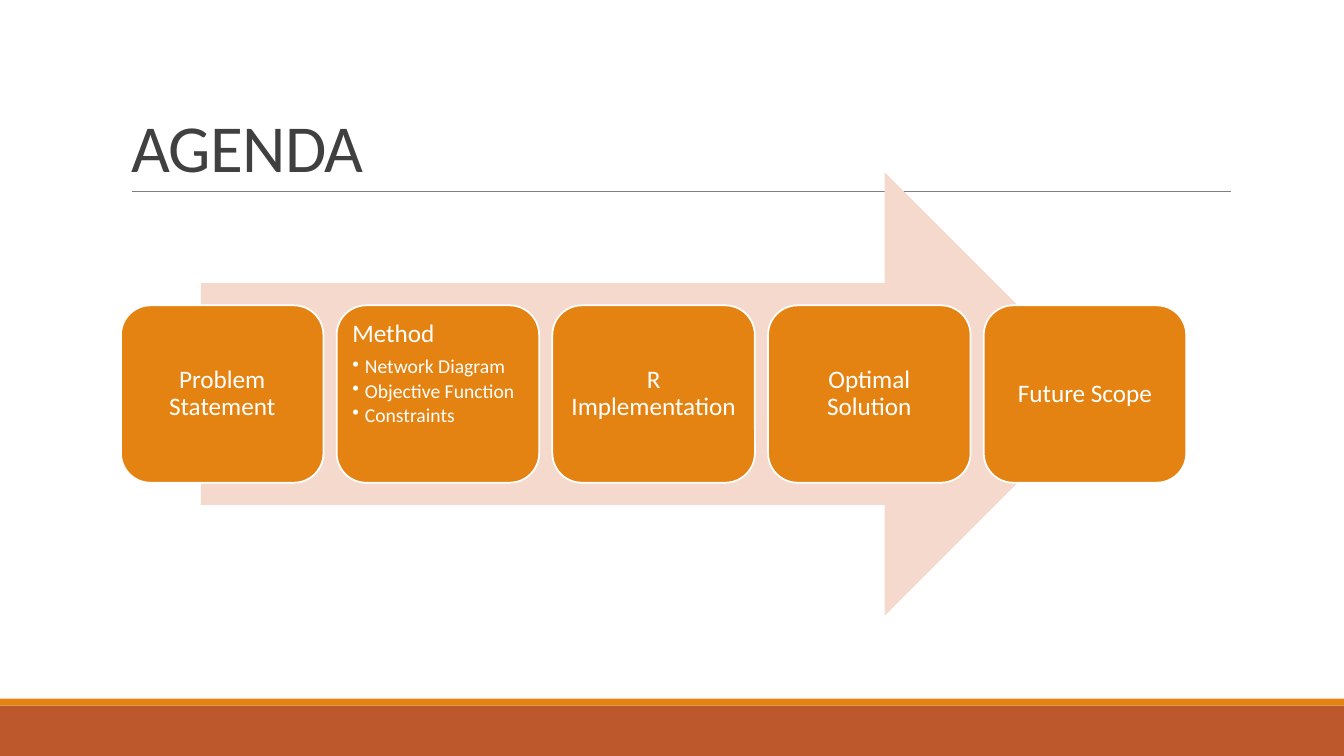
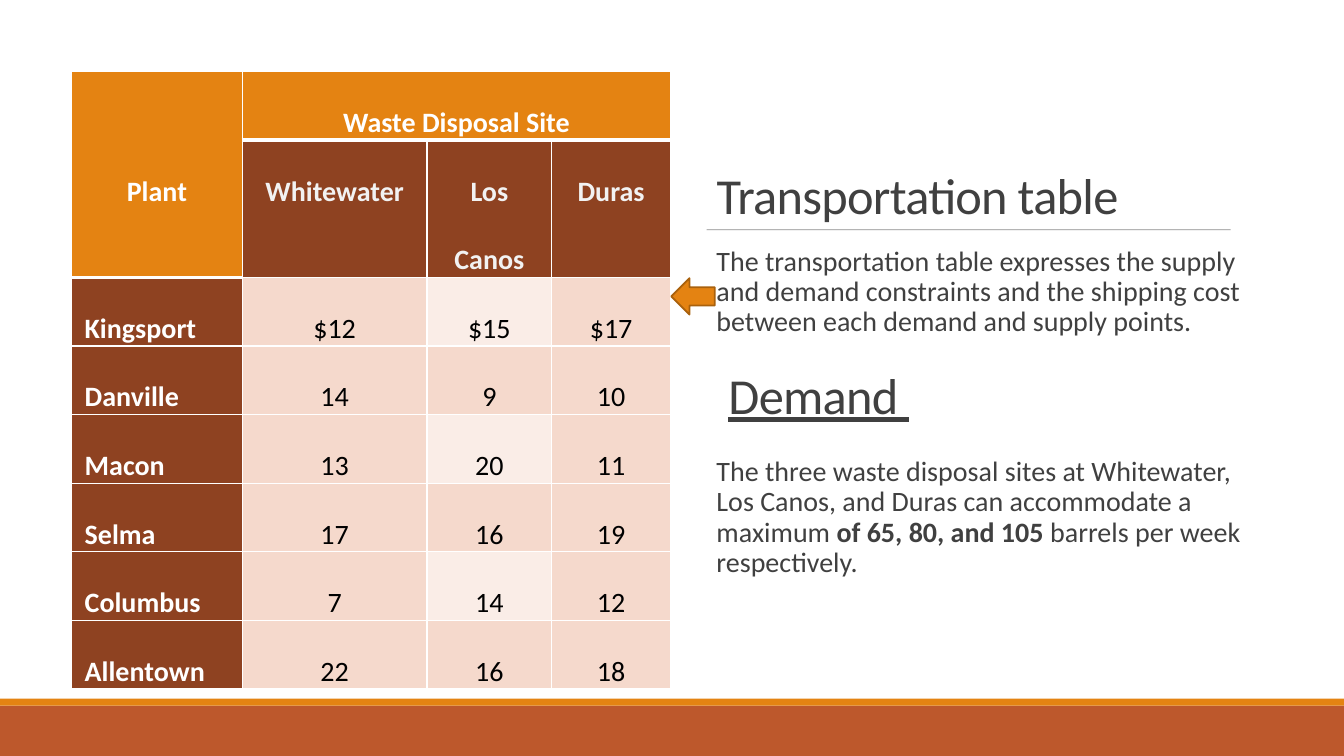
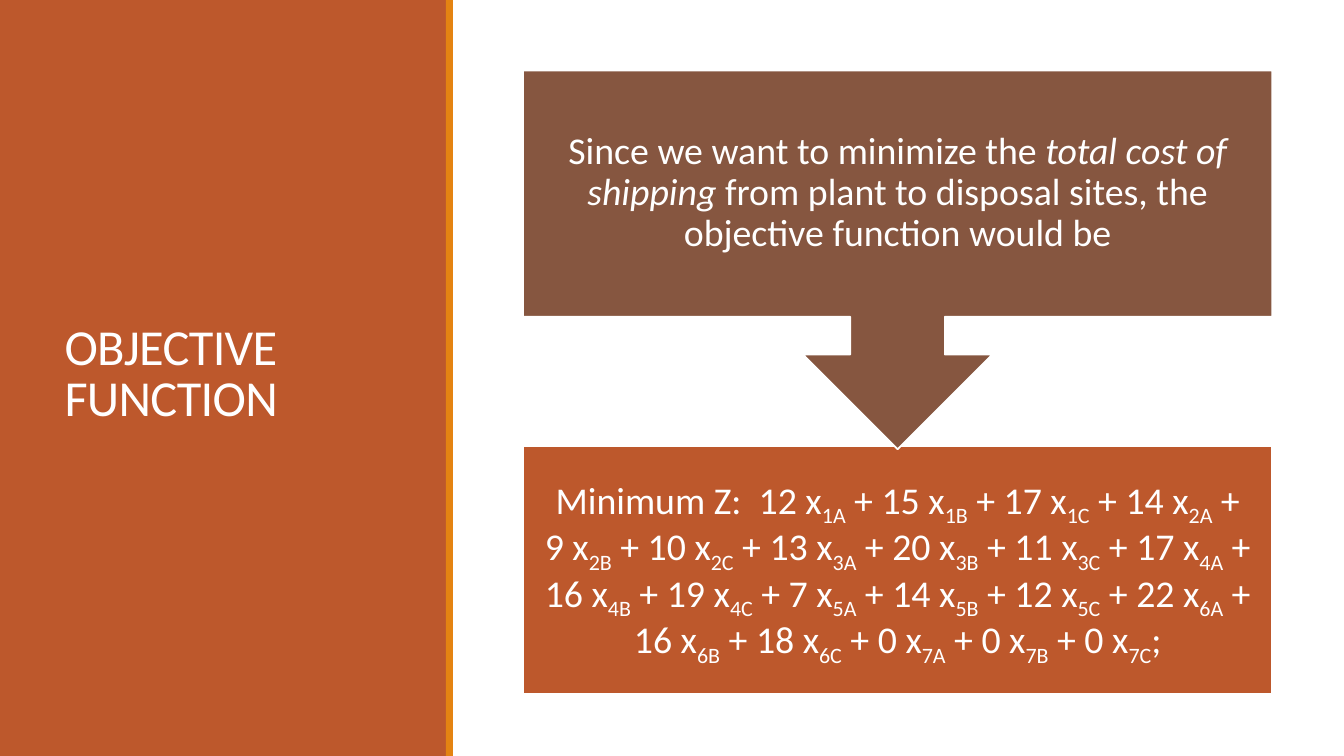
"""Build three slides on a waste transportation problem."""
import dataclasses

import lxml.etree
import pptx
import pptx.dml.color
import pptx.enum.shapes
import pptx.enum.text
import pptx.oxml
import pptx.oxml.ns
import pptx.util

Pt = pptx.util.Pt
SHAPE = pptx.enum.shapes.MSO_SHAPE
ALIGN = pptx.enum.text.PP_ALIGN
ANCHOR = pptx.enum.text.MSO_ANCHOR


@dataclasses.dataclass(frozen=True)
class Theme:
    """Colours, font and type sizes of the deck."""
    font: str = "Calibri"
    orange: str = "E48312"
    orange_edge: str = "A9610D"
    rust: str = "BD582C"
    brown: str = "865640"
    dark: str = "8E4221"
    tint: str = "F5D9CC"
    pale: str = "FAEDE7"
    ink: str = "404040"
    rule: str = "808080"
    black: str = "000000"
    white: str = "FFFFFF"
    off_white: str = "F2F2F2"
    title: float = 48
    heading: float = 36
    formula: float = 27
    body: float = 20
    card: float = 18
    bullet: float = 14


T = Theme()
W, H = 960, 540
STRIPE = 5
SITES = ["Whitewater", "Los Canos", "Duras"]
COSTS = {
    "Kingsport": (12, 15, 17),
    "Danville": (14, 9, 10),
    "Macon": (13, 20, 11),
    "Selma": (17, 16, 19),
    "Columbus": (7, 14, 12),
    "Allentown": (22, 16, 18),
}
STEPS = [
    ("Problem Statement", []),
    ("Method", ["Network Diagram", "Objective Function", "Constraints"]),
    ("R Implementation", []),
    ("Optimal Solution", []),
    ("Future Scope", []),
]


def rgb(color):
    """Turn a hex string into a colour."""
    return pptx.dml.color.RGBColor.from_string(color)


def pts(box):
    """Turn a box of numbers into lengths in points."""
    return [Pt(round(v, 2)) for v in box]


def child(parent, tag, **attrs):
    """Append a DrawingML element."""
    return lxml.etree.SubElement(parent, pptx.oxml.ns.qn(tag), attrs)


def shape(s, kind, box, fill, line=None):
    """Add a flat preset shape."""
    sp = s.shapes.add_shape(kind, *pts(box))
    sp.shadow.inherit = False
    sp.fill.solid()
    sp.fill.fore_color.rgb = rgb(fill)
    if line:
        sp.line.color.rgb = rgb(line)
        sp.line.width = Pt(1.25)
    else:
        sp.line.fill.background()
    return sp


def frame(sp, anchor, x=7.2, y=3.6, right=None):
    """Set wrapping, anchor and insets of a text frame."""
    tf = sp.text_frame
    tf.word_wrap = True
    tf.auto_size = pptx.enum.text.MSO_AUTO_SIZE.NONE
    tf.vertical_anchor = anchor
    tf.margin_left = Pt(x)
    tf.margin_right = Pt(x if right is None else right)
    tf.margin_top = tf.margin_bottom = Pt(y)
    return tf


def style(p, size, color, align=ALIGN.LEFT, spacing=0.9, bold=False):
    """Format a whole paragraph."""
    p.alignment = align
    p.line_spacing = spacing
    p.font.name = T.font
    p.font.size = Pt(size)
    p.font.color.rgb = rgb(color)
    p.font.bold = bold


def add_runs(p, *texts):
    """Add runs to a paragraph and return them."""
    runs = []
    for text in texts:
        r = p.add_run()
        r.text = text
        runs.append(r)
    return runs


def heading(sp, text, size, color=T.ink, anchor=ANCHOR.BOTTOM):
    """Write tightly spaced heading text into a shape."""
    p = frame(sp, anchor).paragraphs[0]
    add_runs(p, text)
    style(p, size, color, spacing=0.85)
    p._p.get_or_add_pPr().get_or_add_defRPr().set("spc", "-50")
    return p


def title(s, box, text, size, color=T.ink, anchor=ANCHOR.BOTTOM):
    """Place and fill the title placeholder in front of the shapes drawn so far."""
    sp = s.shapes.title
    sp.left, sp.top, sp.width, sp.height = pts(box)
    heading(sp, text, size, color, anchor)
    sp._element.getparent().append(sp._element)


def rule(s, x, y, right, alpha=100):
    """Draw a thin horizontal rule."""
    cx = s.shapes.add_connector(pptx.enum.shapes.MSO_CONNECTOR.STRAIGHT, *pts((x, y, right, y)))
    cx.line.color.rgb = rgb(T.rule)
    cx.line.width = Pt(0.5)
    if alpha < 100:
        clr = next(cx._element.iter(pptx.oxml.ns.qn("a:srgbClr")))
        child(clr, "a:alpha", val=str(alpha * 1000))
    child(cx._element.spPr, "a:effectLst")


def footer(s):
    """Draw the bands along the bottom edge."""
    top = 504
    shape(s, SHAPE.RECTANGLE, (0, top, W, H - top), T.rust)
    shape(s, SHAPE.RECTANGLE, (0, top - STRIPE, W, STRIPE), T.orange)


def side_panel(s, width):
    """Draw the panel along the left edge."""
    shape(s, SHAPE.RECTANGLE, (0, 0, width, H), T.rust)
    shape(s, SHAPE.RECTANGLE, (width - 0.5, 0, STRIPE, H), T.orange)


def step_card(s, box, name, details):
    """Draw one step, with bulleted details where it has any."""
    sp = shape(s, SHAPE.ROUNDED_RECTANGLE, box, T.orange, T.white)
    tf = frame(sp, ANCHOR.TOP if details else ANCHOR.MIDDLE, 5, 5)
    p = tf.paragraphs[0]
    add_runs(p, name)
    style(p, T.card, T.white, ALIGN.LEFT if details else ALIGN.CENTER)
    if details:
        p.space_after = Pt(6.3)
    for detail in details:
        p = tf.add_paragraph()
        pPr = p._p.get_or_add_pPr()
        pPr.set("marL", str(Pt(9)))
        pPr.set("indent", str(-Pt(9)))
        child(pPr, "a:buChar", char="•")
        add_runs(p, detail)
        style(p, T.bullet, T.white)
        p.space_after = Pt(2.1)


def process(s, box):
    """Draw the steps over a wide arrow."""
    x, y, w, h = box
    shape(s, SHAPE.RIGHT_ARROW, (x + 0.075 * w, y, 0.85 * w, h), T.tint)
    gap = 9.4
    card_w = (w - gap * (len(STEPS) - 1)) / len(STEPS)
    for i, (name, details) in enumerate(STEPS):
        step_card(s, (x + i * (card_w + gap), y + 0.3 * h, card_w, 0.4 * h), name, details)


def edge_width(r, c):
    """Give the width of the border below a cell."""
    return 3 if 0 <= r <= (c == 0) else 1


def borders(cell, r, c):
    """Draw white borders round a cell."""
    tcPr = cell._tc.get_or_add_tcPr()
    widths = {"L": 1, "R": 1, "T": edge_width(r - 1, c), "B": edge_width(r, c)}
    for side, width in widths.items():
        ln = child(tcPr, "a:ln" + side, w=str(Pt(width)))
        child(child(ln, "a:solidFill"), "a:srgbClr", val=T.white)


def cell_look(r, c):
    """Give fill, text colour and boldness of a cell."""
    if r == 0 or (r == 1 and c == 0):
        return T.orange, T.white, True
    if r == 1:
        return T.dark, T.off_white, True
    if c == 0:
        return T.dark, T.white, True
    return (T.pale if c == 2 and r % 2 == 0 else T.tint), T.black, False


def cost_table(s, x, y):
    """Add the table of shipping costs."""
    rows = [["Plant", "Waste Disposal Site", "", ""], ["", *SITES]]
    for i, (plant, costs) in enumerate(COSTS.items()):
        rows.append([plant, *(f"${v}" if i == 0 else str(v) for v in costs)])
    widths, line = (122, 132, 89, 85), 48.9
    box = (x, y, sum(widths), line * (len(rows) + 1))
    table = s.shapes.add_table(len(rows), len(widths), *pts(box)).table
    table.first_row = table.horz_banding = False
    for column, width in zip(table.columns, widths):
        column.width = Pt(width)
    for r, row in enumerate(rows):
        table.rows[r].height = Pt(line * (2 if r == 1 else 1))
        for c, text in enumerate(row):
            cell = table.cell(r, c)
            borders(cell, r, c)
            fill, color, bold = cell_look(r, c)
            cell.fill.solid()
            cell.fill.fore_color.rgb = rgb(fill)
            cell.margin_left = cell.margin_right = Pt(9.4)
            cell.margin_top = cell.margin_bottom = 0
            if text:
                p = cell.text_frame.paragraphs[0]
                add_runs(p, text)
                align = ALIGN.LEFT if r > 1 and c == 0 else ALIGN.CENTER
                style(p, T.body, color, align, 2.0, bold)
    table.cell(0, 0).merge(table.cell(1, 0))
    table.cell(0, 0).vertical_anchor = ANCHOR.MIDDLE
    table.cell(0, 1).merge(table.cell(0, 3))


def explanation(s, box):
    """Write the title and text beside the table."""
    x, y, w, h = box
    head = 114.5
    title(s, (x, y, w, head), "Transportation table", T.heading)
    rule(s, x, y + head, 879, 90)
    sp = s.shapes.add_textbox(*pts((x, y + 123.3, w, h - 123.3)))
    tf = frame(sp, ANCHOR.TOP, 7.2, 3.6, 0)
    p = tf.paragraphs[0]
    add_runs(p, "The transportation table expresses the supply and demand constraints "
                "and the shipping cost between each demand and supply points.")
    style(p, T.body, T.ink)
    p = tf.add_paragraph()
    runs = add_runs(p, "The three waste disposal sites at Whitewater, Los Canos, and Duras "
                       "can accommodate a maximum ",
                    "of 65, 80, and 105 ", "barrels per week respectively.")
    style(p, T.body, T.ink)
    p.space_before = Pt(85.5)
    runs[1].font.bold = True
    sp = s.shapes.add_textbox(*pts((x + 8.6, y + 142.5, w, head)))
    heading(sp, "Demand ", T.heading).font.underline = True


def formula(p):
    """Write the cost function with subscripted variables."""
    lead = "Minimum Z:  "
    for i, costs in enumerate([*COSTS.values(), (0, 0, 0)], 1):
        for letter, cost in zip("ABC", costs):
            _, sub = add_runs(p, f"{lead}{cost} x", f"{i}{letter}")
            sub._r.get_or_add_rPr().set("baseline", "-25000")
            lead = " + "
    add_runs(p, ";")


def derivation(s, box):
    """Draw the reasoning that leads down to the formula."""
    x, y, w, h = box
    result_h = 176.4
    result = shape(s, SHAPE.RECTANGLE, (x, y + h - result_h, w, result_h), T.rust, T.white)
    p = frame(result, ANCHOR.MIDDLE, 15.1, 15.1).paragraphs[0]
    formula(p)
    style(p, T.formula, T.white, ALIGN.CENTER)
    reason = shape(s, SHAPE.DOWN_ARROW_CALLOUT, (x, y, w, h - result_h + 2), T.brown, T.white)
    p = frame(reason, ANCHOR.MIDDLE, 15.1, 15.1).paragraphs[0]
    runs = add_runs(p, "Since we want to minimize the ", "total cost of shipping ",
                    "from plant to disposal sites, the objective function would be")
    style(p, T.formula, T.white, ALIGN.CENTER)
    runs[1].font.italic = True


def agenda_slide(s):
    """Build the agenda."""
    footer(s)
    rule(s, 94.3, 136.8, 879)
    title(s, (86.4, 22.3, 792, 114.5), "AGENDA", T.title)
    process(s, (86.4, 123.1, 761, 316.8))


def table_slide(s):
    """Build the transportation table."""
    footer(s)
    explanation(s, (504.7, 49.7, 404, 411.8))
    cost_table(s, 51.1, 51.1)
    shape(s, SHAPE.LEFT_ARROW, (479.5, 198.7, 31, 26), T.orange, T.orange_edge)


def objective_slide(s):
    """Build the objective function."""
    side_panel(s, 319)
    title(s, (38.9, 41, 242.6, 454.3), "OBJECTIVE FUNCTION", T.heading, T.white, ANCHOR.MIDDLE)
    derivation(s, (373.7, 50.4, 535, 445))


def main():
    """Build and save the deck."""
    prs = pptx.Presentation()
    prs.slide_width, prs.slide_height = Pt(W), Pt(H)
    for build in (agenda_slide, table_slide, objective_slide):
        build(prs.slides.add_slide(prs.slide_layouts[5]))
    prs.save("out.pptx")


if __name__ == "__main__":
    main()
